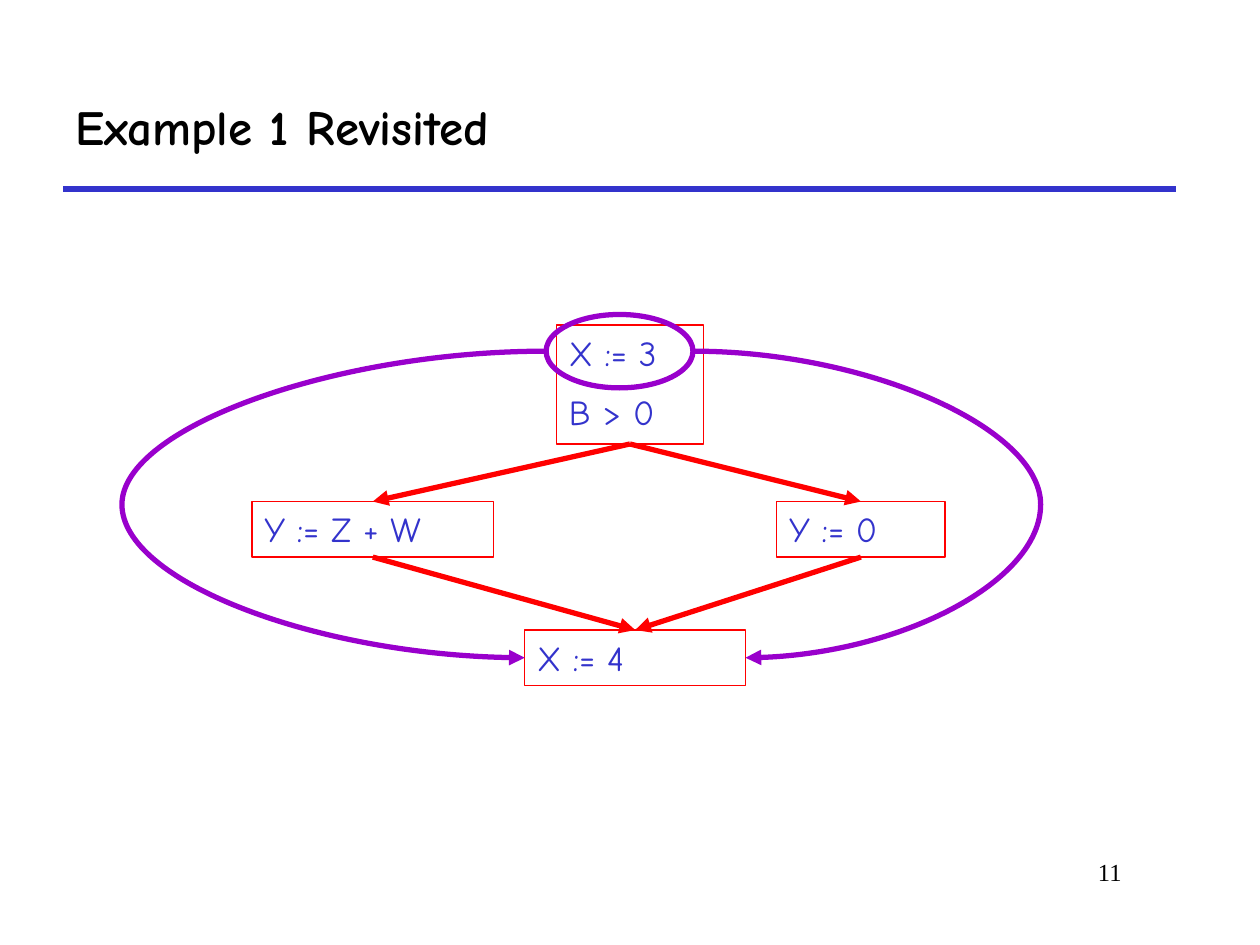
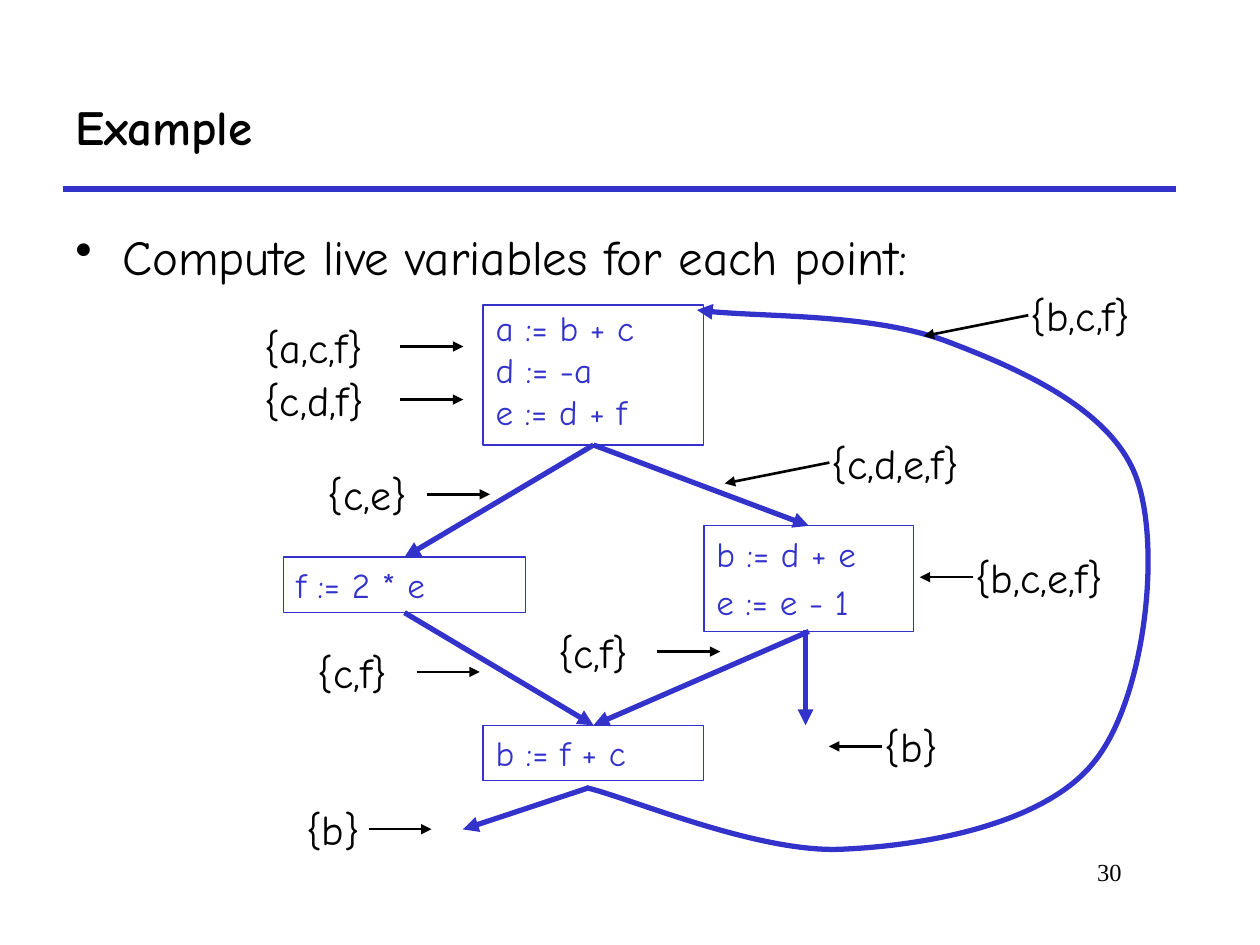
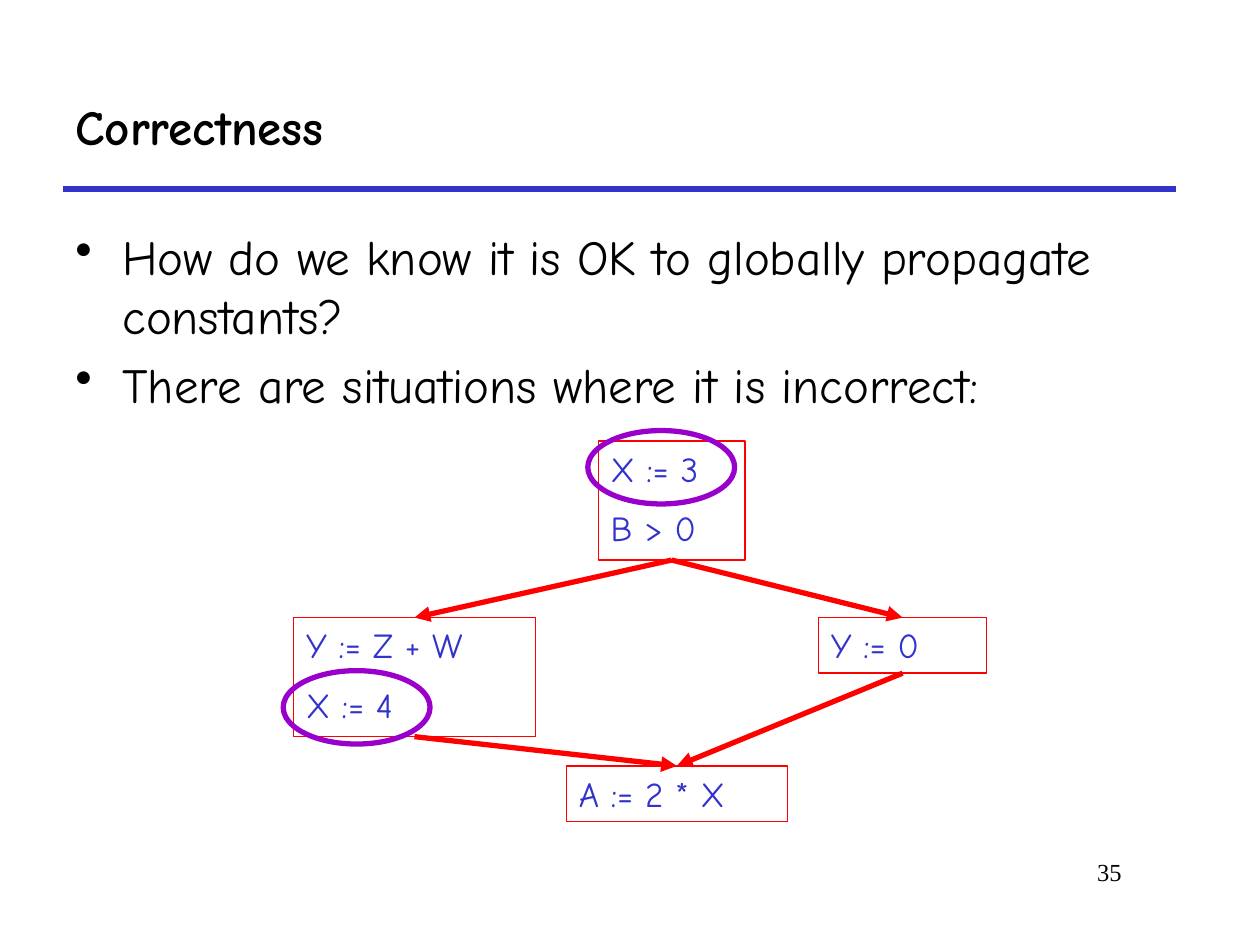
from collections import namedtuple

from lxml.etree import SubElement
from pptx import Presentation
from pptx.dml.color import RGBColor
from pptx.enum.shapes import MSO_CONNECTOR, MSO_SHAPE
from pptx.enum.text import MSO_ANCHOR, PP_ALIGN
from pptx.oxml.ns import qn
from pptx.util import Cm, Pt

Box = namedtuple("Box", "left top width height")

COLORS = {"ink": "000000", "blue": "3333CC", "red": "FF0000", "purple": "9900CC"}
HAND = "Comic Neue"
FONTS = {
    "title": {"name": HAND, "size": Pt(28), "bold": True},
    "body": {"name": HAND, "size": Pt(28)},
    "code": {"name": HAND, "size": Pt(20)},
    "label": {"name": HAND, "size": Pt(24)},
    "number": {"name": "Times New Roman", "size": Pt(14)},
}
TITLE = Box(1.27, 1.27, 22.43, 2.54)
BODY = Box(1.27, 4.45, 23.06, 12.27)
NUMBER = Box(17.58, 17.15, 5.28, 1.27)
BLOCK_HEIGHT = 1.12
ROW_PITCH = 1.28
RIGHT, LEFT, SLANT = (1.27, 0), (-1.07, 0), (-2.11, 0.42)

LIVE_SETS = [
    ("{a,c,f}", -0.64, 0.2, RIGHT),
    ("{c,d,f}", -0.64, 1.27, RIGHT),
    ("{c,e}", 0.64, 3.18, RIGHT),
    ("{c,f}", 0.43, 6.76, RIGHT),
    ("{c,f}", 5.28, 6.35, RIGHT),
    ("{b}", 0.2, 9.93, RIGHT),
    ("{b}", 11.86, 8.26, LEFT),
    ("{b,c,e,f}", 13.69, 4.85, LEFT),
    ("{c,d,e,f}", 10.8, 2.54, SLANT),
    ("{b,c,f}", 14.81, -0.43, SLANT),
]
LOOP_BACK = [
    (6.1, 9.73),
    (6.96, 9.93), (9.55, 11.05), (11.25, 10.97),
    (12.95, 10.9), (15.34, 10.46), (16.33, 9.22),
    (17.35, 7.98), (17.7, 4.93), (17.2, 3.51),
    (16.71, 2.11), (14.86, 1.3), (13.39, 0.74),
    (11.91, 0.18), (9.4, 0.25), (8.33, 0.1),
]


def rgb(color):
    """Return the named colour."""
    return RGBColor.from_string(COLORS[color])


def apply(target, values):
    """Set each attribute of target from a dict of values."""
    for name, value in values.items():
        setattr(target, name, value)


def in_cm(box):
    """Return the four lengths of a box in Cm."""
    return [Cm(length) for length in box]


def shifted(box, left, top, width, height):
    """Return a box placed relative to the corner of another."""
    return Box(box.left + left, box.top + top, width, height)


def write(para, text, font, color="ink", layout=None):
    """Write one formatted span into a paragraph."""
    apply(para, layout or {})
    span = para.add_run()
    span.text = text
    apply(span.font, FONTS[font])
    span.font.color.rgb = rgb(color)


def paragraphs(frame, count):
    """Return the first paragraph and as many new ones as needed."""
    return [frame.paragraphs[0]] + [frame.add_paragraph() for _ in range(count - 1)]


def add_text(page, box, text, font, layout=None):
    """Add a text box with one line."""
    frame = page.shapes.add_textbox(*in_cm(box)).text_frame
    apply(frame, {"word_wrap": True, "margin_right": 0 if font == "label" else Cm(0.25)})
    write(frame.paragraphs[0], text, font, layout=layout)


def outline(shape, color, weight):
    """Give an unfilled shape its line and no shadow."""
    shape.shadow.inherit = False
    shape.fill.background()
    shape.line.color.rgb = rgb(color)
    shape.line.width = Pt(weight)


def add_head(shape):
    """Put a triangle at the end of a line."""
    SubElement(shape.line._get_or_add_ln(), qn("a:tailEnd"), type="triangle")


def add_line(page, start, end, color, weight=3, head=True, kind=MSO_CONNECTOR.STRAIGHT):
    """Draw a connector between two points given in EMU."""
    line = page.shapes.add_connector(kind, *start, *end)
    line.line.color.rgb = rgb(color)
    line.line.width = Pt(weight)
    SubElement(line._element.spPr, qn("a:effectLst"))
    if head:
        add_head(line)
    return line


def add_arrow(page, box, start, end, color, weight=3):
    """Draw an arrow between two points relative to a box."""
    points = [(Cm(box.left + x), Cm(box.top + y)) for x, y in (start, end)]
    add_line(page, *points, color, weight)


def join(page, source, target, color):
    """Connect the bottom of one block to the top of another."""
    arrow = add_line(page, (0, 0), (0, 0), color)
    arrow.begin_connect(source, 2)
    arrow.end_connect(target, 0)


def add_block(page, box, lines, color, spacings=(1, 1, 1)):
    """Draw a basic block with its lines of code."""
    block = page.shapes.add_shape(MSO_SHAPE.RECTANGLE, *in_cm(box))
    outline(block, color, 0.75)
    frame = block.text_frame
    apply(frame, {"word_wrap": True, "vertical_anchor": MSO_ANCHOR.TOP})
    for row, para in enumerate(paragraphs(frame, len(lines))):
        layout = {"alignment": PP_ALIGN.LEFT, "line_spacing": spacings[row],
                  "space_before": Pt(10 if row else 0)}
        write(para, lines[row], "code", "blue", layout)
    return block


def add_ring(page, block, row=0):
    """Circle one row of a block."""
    left, top = block.left - Cm(0.21), block.top + Cm(ROW_PITCH * row - 0.21)
    ring = page.shapes.add_shape(MSO_SHAPE.OVAL, left, top, Cm(2.96), Cm(1.48))
    outline(ring, "purple", 3)
    return ring


def add_sweep(page, start, end, reach):
    """Draw a curved arrow that swings out to the given x."""
    sweep = add_line(page, start, end, "purple", kind=MSO_CONNECTOR.CURVE)
    bend = round((reach - start[0]) / (end[0] - start[0]) * 100000)
    guides = sweep._element.spPr.find(qn("a:prstGeom")).get_or_add_avLst()
    SubElement(guides, qn("a:gd"), name="adj1", fmla=f"val {bend}")


def add_curve(page, box, points, color):
    """Draw a Bézier arrow through points relative to a box."""
    start, *rest = [(Cm(box.left + x), Cm(box.top + y)) for x, y in points]
    builder = page.shapes.build_freeform(*start)
    builder.add_line_segments(rest, close=False)
    curve = builder.convert_to_shape()
    outline(curve, color, 3)
    add_head(curve)
    track = next(curve._element.iter(qn("a:path")))
    steps = track.findall(qn("a:lnTo"))
    for first in range(0, len(steps), 3):
        bezier = SubElement(track, qn("a:cubicBezTo"))
        for step in steps[first:first + 3]:
            bezier.append(step[0])
            track.remove(step)


def add_page(deck, title, number):
    """Add a slide with title, rule and page number."""
    page = deck.slides.add_slide(deck.slide_layouts[5])
    rule_y = Cm(TITLE.top + TITLE.height)
    add_line(page, (Cm(TITLE.left), rule_y), (Cm(TITLE.left + TITLE.width), rule_y),
             "blue", head=False)
    add_text(page, NUMBER, number, "number", {"alignment": PP_ALIGN.RIGHT})
    heading = page.shapes.title
    apply(heading, dict(zip(("left", "top", "width", "height"), in_cm(TITLE))))
    apply(heading.text_frame, {"vertical_anchor": MSO_ANCHOR.MIDDLE, "word_wrap": True})
    write(heading.text_frame.paragraphs[0], title, "title",
          layout={"alignment": PP_ALIGN.LEFT})
    return page


def add_bullets(page, box, items):
    """Write a bulleted list into a box."""
    frame = page.shapes.add_textbox(*in_cm(box)).text_frame
    frame.word_wrap = True
    for row, para in enumerate(paragraphs(frame, len(items))):
        properties = para._p.get_or_add_pPr()
        apply_indent = {"marL": Cm(0.95), "indent": -Cm(0.95)}
        for name, value in apply_indent.items():
            properties.set(name, str(value))
        SubElement(properties, qn("a:buChar"), char="•")
        write(para, items[row], "body", layout={"space_before": Pt(5.6 if row else 0)})


def branch_graph(page, box, left_lines, last_line):
    """Draw a test, its two branches and the block where they meet."""
    left_height = BLOCK_HEIGHT + ROW_PITCH * (len(left_lines) - 1)
    last_top = box.height - BLOCK_HEIGHT
    places = [
        ((6.14, 0, 2.96, 2.4), ["X := 3", "B > 0"]),
        ((0, 3.56, 4.87, left_height), left_lines),
        ((10.58, 3.56, 3.39, BLOCK_HEIGHT), ["Y := 0"]),
        ((5.5, last_top, 4.45, BLOCK_HEIGHT), [last_line]),
    ]
    test, left, right, last = [
        add_block(page, shifted(box, *place), lines, "red") for place, lines in places
    ]
    for branch in (left, right):
        join(page, test, branch, "red")
        join(page, branch, last, "red")
    return test, left, last


def live_graph(page, box):
    """Draw the looping flow graph with its live sets."""
    places = [
        ((4.02, 0, 4.45, 2.82), ["a := b + c", "d := -a", "e := d + f"], (0.9, 0.5, 0.6)),
        ((0, 5.08, 4.87, BLOCK_HEIGHT), ["f := 2 * e"], (1,)),
        ((8.47, 4.45, 4.23, 2.13), ["b := d + e", "e := e - 1"], (1, 0.7)),
        ((4.02, 8.47, 4.45, BLOCK_HEIGHT), ["b := f + c"], (1,)),
    ]
    entry, left, right, last = [
        add_block(page, shifted(box, *place), lines, "blue", spacings)
        for place, lines, spacings in places
    ]
    for branch in (left, right):
        join(page, entry, branch, "blue")
        join(page, branch, last, "blue")
    add_arrow(page, box, (10.52, 6.56), (10.52, 8.47), "blue")
    add_curve(page, box, LOOP_BACK, "blue")
    add_arrow(page, box, (6.15, 9.73), (3.61, 10.57), "blue")
    for text, x, y, direction in LIVE_SETS:
        live_set(page, shifted(box, x, y, 0.37 * len(text) + 0.4, 1.27), text, direction)


def live_set(page, box, text, direction):
    """Write a live set with the arrow to its program point."""
    add_text(page, box, text, "label")
    x, y = box.width if direction == RIGHT else 0.2, box.height / 2
    add_arrow(page, box, (x, y), (x + direction[0], y + direction[1]), "ink", 1.5)


def revisited_slide(deck):
    """Build the slide on the overwritten assignment."""
    page = add_page(deck, "Example 1 Revisited", "11")
    box = Box(5.08, 6.55, 13.97, 7.27)
    test, _, last = branch_graph(page, box, ["Y := Z + W"], "X := 4")
    ring = add_ring(page, test)
    ring_y, last_y = ring.top + ring.height // 2, last.top + last.height // 2
    add_sweep(page, (ring.left, ring_y), (last.left, last_y), Cm(box.left - 2.62))
    add_sweep(page, (ring.left + ring.width, ring_y), (last.left + last.width, last_y),
              Cm(box.left + box.width + 1.93))


def liveness_slide(deck):
    """Build the slide on live variables."""
    page = add_page(deck, "Example", "30")
    add_bullets(page, BODY, ["Compute live variables for each point:"])
    live_graph(page, Box(5.72, 6.15, 17.7, 11.05))


def correctness_slide(deck):
    """Build the slide on incorrect propagation."""
    page = add_page(deck, "Correctness", "35")
    add_bullets(page, BODY, [
        "How do we know it is OK to globally propagate constants?",
        "There are situations where it is incorrect:",
    ])
    box = Box(5.92, 8.89, 13.97, 7.67)
    test, left, _ = branch_graph(page, box, ["Y := Z + W", "X := 4"], "A := 2 * X")
    add_ring(page, left, 1)
    add_ring(page, test)


def main():
    """Build and save the deck."""
    deck = Presentation()
    apply(deck, {"slide_width": Cm(25.4), "slide_height": Cm(19.05)})
    for build in (revisited_slide, liveness_slide, correctness_slide):
        build(deck)
    deck.save("out.pptx")


if __name__ == "__main__":
    main()
